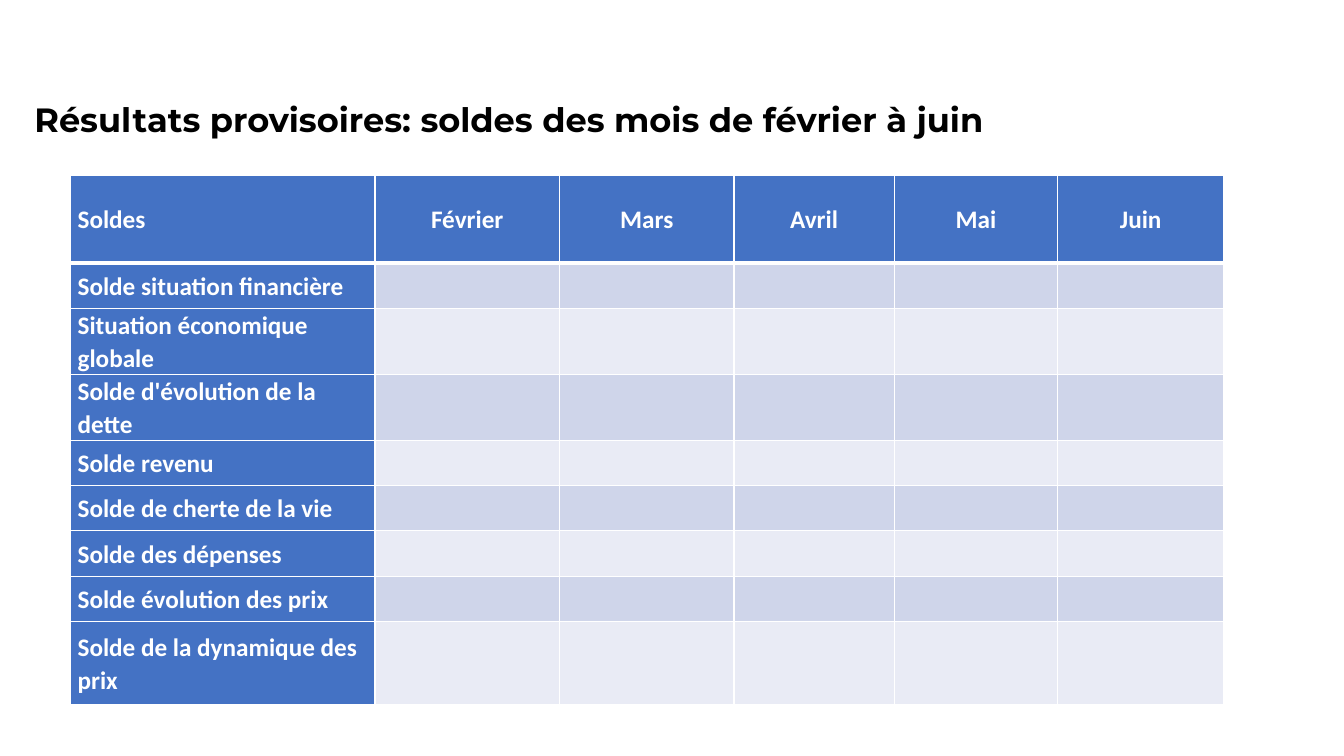
from dataclasses import dataclass

from lxml import etree
from pptx import Presentation
from pptx.dml.color import RGBColor
from pptx.enum.text import MSO_ANCHOR, MSO_AUTO_SIZE, PP_ALIGN
from pptx.oxml.ns import qn
from pptx.util import Inches, Pt

MIDDLE = MSO_ANCHOR.MIDDLE
LEFT, CENTER = PP_ALIGN.LEFT, PP_ALIGN.CENTER
NO_AUTOFIT = MSO_AUTO_SIZE.NONE


@dataclass(frozen=True)
class Theme:
    black: str = "000000"
    white: str = "FFFFFF"
    blue: str = "4472C4"
    bands: tuple = ("CFD5EA", "E9EBF5")
    title_font: str = "Montserrat"
    table_font: str = "Calibri"
    title_size: int = 24
    table_size: int = 18


THEME = Theme()
MONTHS = ["Février", "Mars", "Avril", "Mai", "Juin"]
BALANCES = [
    "Solde situation financière",
    "Situation économique globale",
    "Solde d'évolution de la dette",
    "Solde revenu",
    "Solde de cherte de la vie",
    "Solde des dépenses",
    "Solde évolution des prix",
    "Solde de la dynamique des prix",
]
COLUMN_WIDTHS = [3.02, 1.83, 1.73, 1.59, 1.62, 1.65]
ROW_HEIGHTS = [0.87] + [0.45] * 7 + [0.82]


def style_run(span, font_name, size, color):
    span.font.name = font_name
    span.font.size = Pt(size)
    span.font.bold = True
    span.font.color.rgb = RGBColor.from_string(color)


def set_borders(cell, widths):
    """Draw white borders; widths are points for left, right, top, bottom."""
    properties = cell._tc.get_or_add_tcPr()
    for index, (side, width) in enumerate(zip("LRTB", widths)):
        line = etree.Element(qn(f"a:ln{side}"), w=str(Pt(width)))
        fill = etree.SubElement(line, qn("a:solidFill"))
        etree.SubElement(fill, qn("a:srgbClr"), val=THEME.white)
        properties.insert(index, line)


# Slide
deck = Presentation()
deck.slide_width, deck.slide_height = Inches(13.33), Inches(7.5)
page = deck.slides.add_slide(deck.slide_layouts[5])

# Title on a white rounded rectangle
title = page.shapes.title
title.left, title.top = Inches(0.24), Inches(1)
title.width, title.height = Inches(10.86), Inches(0.37)
outline = etree.SubElement(title._element.spPr, qn("a:prstGeom"), prst="roundRect")
etree.SubElement(outline, qn("a:avLst"))
title.fill.solid()
title.fill.fore_color.rgb = RGBColor.from_string(THEME.white)
frame = title.text_frame
frame.text = "Résultats provisoires: soldes des mois de février à juin"
frame.auto_size = NO_AUTOFIT
frame.word_wrap = True
frame.vertical_anchor = MIDDLE
frame.margin_left = frame.margin_right = Inches(0.1)
frame.paragraphs[0].alignment = LEFT
style_run(frame.paragraphs[0].runs[0], THEME.title_font, THEME.title_size, THEME.black)

# Table grid
table = page.shapes.add_table(
    len(ROW_HEIGHTS), len(COLUMN_WIDTHS),
    Inches(0.7), Inches(1.74), Inches(11.44), Inches(5.19),
).table
table.first_col = True
for column, width in zip(table.columns, COLUMN_WIDTHS):
    column.width = Inches(width)
for row, height in zip(table.rows, ROW_HEIGHTS):
    row.height = Inches(height)

# Table cells
labels = [["Soldes"] + MONTHS] + [[name] + [""] * len(MONTHS) for name in BALANCES]
for row_index, row_labels in enumerate(labels):
    for column_index, label in enumerate(row_labels):
        cell = table.cell(row_index, column_index)
        is_heading = row_index == 0 or column_index == 0
        color = THEME.blue if is_heading else THEME.bands[(row_index - 1) % 2]
        cell.fill.solid()
        cell.fill.fore_color.rgb = RGBColor.from_string(color)
        if row_index == 0:
            set_borders(cell, (1, 1, 1, 3))
        if not label:
            continue
        cell.vertical_anchor = MIDDLE
        cell.margin_left = cell.margin_right = Inches(0.07)
        cell.margin_top = cell.margin_bottom = 0
        cell.text_frame.text = label
        para = cell.text_frame.paragraphs[0]
        para.alignment = CENTER if column_index else LEFT
        para.line_spacing = 1.07
        para.space_after = Pt(8)
        style_run(para.runs[0], THEME.table_font, THEME.table_size, THEME.white)

deck.save("out.pptx")
